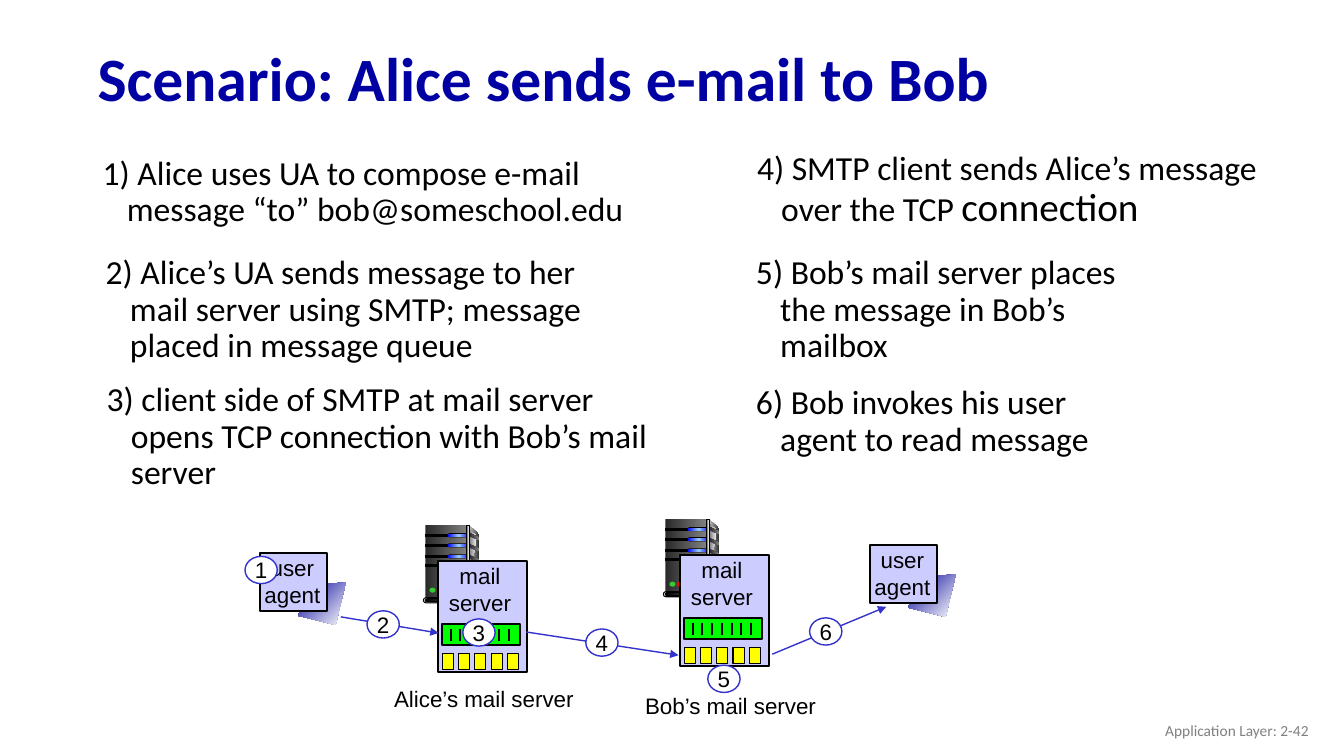
from copy import deepcopy
from pptx import Presentation
from pptx.dml.color import RGBColor
from pptx.enum.shapes import MSO_CONNECTOR, MSO_SHAPE as SHP
from pptx.enum.text import MSO_ANCHOR as ANCHOR, PP_ALIGN as ALIGN
from pptx.oxml.ns import qn
from pptx.util import Inches, Pt


class Theme:
    # Colours; a tuple is a gradient
    title, text, footer = "0000A3", "000000", "808080"
    black, white, accent = "000000", "FFFFFF", "3333CC"
    box, queue, message = "CCCCFF", "00FF00", "FFFF00"
    base, green, red = "DDDDDD", "33CC33", "FF0000"
    flap = ("000099", "FFFFFF")
    side = ("DDDDDD", "333333")
    steel = ("292929", "808080")
    panel = ("808080", "F8F8F8")
    foot = ("000000", "808080")
    post = ("333333", "DDDDDD", "333333")
    lamp = ("0000FF", "99CCFF", "0000FF")
    # Type
    body_font, label_font = "Calibri", "Arial"
    title_pt, step_pt, big_pt, label_pt, footer_pt = 44, 24, 28, 16, 11
    # Line widths
    thin, mid, thick = 0.75, 1, 1.5


T = Theme
prs = Presentation()
prs.slide_width, prs.slide_height = Inches(13.33), Inches(7.5)
COL, ROW = prs.slide_width / 13.33, prs.slide_height / 7.5
s = prs.slides.add_slide(prs.slide_layouts[6])


def put(parent, kind, x, y, w=0, h=0, fill=None, line=None, width=T.thin, angle=0):
    """Add a text box, a line, an outline (list of points) or a preset shape."""
    left, top, wide, high = (round(v) for v in (x * COL, y * ROW, w * COL, h * ROW))
    if kind == "text":
        return parent.shapes.add_textbox(left, top, wide, high)
    if kind == "line":
        sp = parent.shapes.add_connector(MSO_CONNECTOR.STRAIGHT, left, top,
                                         left + wide, top + high)
        sp._element.spPr.append(sp._element.makeelement(qn("a:effectLst"), {}))
    elif isinstance(kind, list):
        pts = [(round((x + dx) * COL), round((y + dy) * ROW)) for dx, dy in kind]
        builder = parent.shapes.build_freeform(*pts[0])
        builder.add_line_segments(pts[1:], close=True)
        sp = builder.convert_to_shape()
    else:
        sp = parent.shapes.add_shape(kind, left, top, wide, high)
        if kind == SHP.ROUNDED_RECTANGLE:
            sp.adjustments[0] = 0.5
    if line:
        sp.line.color.rgb = RGBColor.from_string(line)
        sp.line.width = Pt(width)
    else:
        sp.line.fill.background()
    if kind == "line":
        return sp
    sp.shadow.inherit = False
    if isinstance(fill, tuple):
        sp.fill.gradient()
        sp.fill.gradient_angle = angle and 360 - angle
        stops = sp._element.spPr.find(".//" + qn("a:gsLst"))
        for _ in fill[2:]:
            stops.insert(1, deepcopy(stops[0]))
        for i, (stop, color) in enumerate(zip(sp.fill.gradient_stops, fill)):
            stop.position = i / (len(fill) - 1)
            stop.color.rgb = RGBColor.from_string(color)
    else:
        sp.fill.solid()
        sp.fill.fore_color.rgb = RGBColor.from_string(fill)
    return sp


def write(sp, text, size=T.label_pt, font=T.label_font, color=T.text,
          align=ALIGN.CENTER, anchor=ANCHOR.TOP, wrap=False):
    """Set the text of a shape and format its runs."""
    tf = sp.text_frame
    tf.text, tf.word_wrap, tf.vertical_anchor = text, wrap, anchor
    for p in tf.paragraphs:
        p.alignment = align
        for r in p.runs:
            r.font.size, r.font.name = Pt(size), font
            r.font.color.rgb = RGBColor.from_string(color)
    return tf


# Title
tf = write(put(s, "text", 0.87, 0.32, 11.5, 0.98), "Scenario: Alice sends e-mail to Bob",
           T.title_pt, T.body_font, T.title, ALIGN.LEFT, ANCHOR.MIDDLE, True)
tf.paragraphs[0].line_spacing = 0.9
tf.paragraphs[0].runs[0].font.bold = True

# Steps
steps = [
    (0.77, 1.5, 5.55, "1) Alice uses UA to compose e-mail message “to” bob@someschool.edu"),
    (0.8, 2.49, 5.55, "2) Alice’s UA sends message to her mail server using SMTP; "
                      "message placed in message queue"),
    (0.81, 3.75, 5.96, "3) client side of SMTP at mail server opens TCP connection "
                       "with Bob’s mail server"),
    (7.25, 2.49, 4.17, "5) Bob’s mail server places the message in Bob’s mailbox"),
    (7.25, 3.78, 4.17, "6) Bob invokes his user agent to read message"),
    (7.26, 1.45, 5.55, "4) SMTP client sends Alice’s message over the TCP "),
]
for x, y, w, text in steps:
    tf = write(put(s, "text", x, y, w, 1.2), text, T.step_pt, T.body_font,
               align=ALIGN.LEFT, wrap=True)
    p = tf.paragraphs[0]
    p.line_spacing = 0.9
    p._p.get_or_add_pPr().set("marL", str(Inches(0.39)))
    p._p.get_or_add_pPr().set("indent", str(Inches(-0.24)))
r = p.add_run()  # larger last word of step 4
r.text = "connection"
r.font.size, r.font.name = Pt(T.big_pt), T.body_font
r.font.color.rgb = RGBColor.from_string(T.text)

# User agents
for x, y in [(2.58, 5.49), (8.63, 5.41)]:
    agent = s.shapes.add_group_shape()
    put(agent, [(0.85, 0.29), (0.45, 0.31), (0.38, 0.62), (0.75, 0.71)], x, y,
        fill=T.flap, angle=45)
    put(agent, SHP.RECTANGLE, x, y, 0.66, 0.57, T.box, T.black, T.thick)
    write(put(agent, "text", x - 0.06, y - 0.04, 0.76, 0.64), "user\nagent")

# Server towers
for x, y in [(6.58, 5.15), (4.2, 5.21)]:
    tower = s.shapes.add_group_shape()
    put(tower, [(0.46, 0.01), (0.55, 0.09), (0.55, 0.7), (0.44, 0.73)], x, y, fill=T.side)
    put(tower, SHP.RECTANGLE, x + 0.02, y, 0.41, 0.72, T.steel)
    put(tower, [(0.46, 0.05), (0.53, 0.11), (0.48, 0.4), (0.47, 0.71), (0.46, 0.71)],
        x, y, fill=T.panel)
    for dy in (0.09, 0.19, 0.3, 0.39):
        put(tower, SHP.RECTANGLE, x + 0.02, y + dy, 0.23, 0.02, T.black, T.black)
    for dy in (0.08, 0.18, 0.29):
        put(tower, SHP.ROUNDED_RECTANGLE, x + 0.24, y + dy, 0.23, 0.04, T.black)
        put(tower, SHP.ROUNDED_RECTANGLE, x + 0.24, y + dy + 0.01, 0.22, 0.03, T.lamp)
    put(tower, SHP.RECTANGLE, x + 0.43, y, 0.03, 0.72, T.post, T.black)
    for dy in (0.08, 0.19, 0.3):
        put(tower, [(0.46, 0), (0.55, 0.04), (0.55, 0.07), (0.46, 0.03)], x, y + dy,
            fill=T.steel)
    put(tower, SHP.ROUNDED_RECTANGLE, x, y + 0.72, 0.47, 0.05, T.base, T.black)
    put(tower, SHP.ROUNDED_RECTANGLE, x + 0.02, y + 0.73, 0.42, 0.03, T.foot, T.black)
    for dx, color in [(0.06, T.green), (0.13, T.red)]:
        put(tower, SHP.OVAL, x + dx, y + 0.62, 0.06, 0.05, color)

# Mail servers with message queue and mailboxes
for x, y in [(4.34, 5.57), (6.74, 5.51)]:
    server = s.shapes.add_group_shape()
    put(server, SHP.RECTANGLE, x, y, 0.89, 1.1, T.box, T.black, T.thick)
    write(put(server, "text", x + 0.01, y - 0.04, 0.82, 0.64), "mail\nserver")
    put(server, SHP.RECTANGLE, x + 0.04, y + 0.62, 0.78, 0.21, T.queue, T.black, T.thick)
    for i in range(7):
        put(server, "line", x + 0.13 + i * 0.58 / 6, y + 0.67, 0, 0.12,
            line=T.black, width=T.thick)
    for i in range(5):
        put(server, SHP.RECTANGLE, x + 0.05 + i * 0.16, y + 0.91, 0.11, 0.16,
            T.message, T.black)

# Message path
for x, y, w, h in [(3.38, 6.12, 0.97, 0.16), (5.22, 6.27, 1.51, 0.23),
                   (7.66, 6.49, 1.13, -0.47)]:
    arrow = put(s, "line", x, y, w, h, line=T.accent, width=T.mid)
    ln = arrow.line._get_or_add_ln()
    ln.append(ln.makeelement(qn("a:tailEnd"), {"type": "triangle"}))

# Numbered badges
badges = [(2.43, 5.52), (3.64, 6.06), (4.59, 6.14), (5.81, 6.24), (7.02, 6.6), (8.03, 6.13)]
for n, (x, y) in enumerate(badges, 1):
    write(put(s, SHP.OVAL, x, y, 0.32, 0.27, T.white, T.accent, T.mid), str(n),
          anchor=ANCHOR.MIDDLE)

# Server labels and footer
for x, y, w, text in [(3.81, 6.75, 1.99, "Alice’s mail server"),
                      (6.3, 6.82, 1.9, "Bob’s mail server")]:
    write(put(s, "text", x, y, w, 0.37), text, align=ALIGN.LEFT)
write(put(s, "text", 10.08, 7.05, 3, 0.4), "Application Layer: 2-42", T.footer_pt,
      T.body_font, T.footer, ALIGN.RIGHT, ANCHOR.MIDDLE, True)

prs.save("out.pptx")
